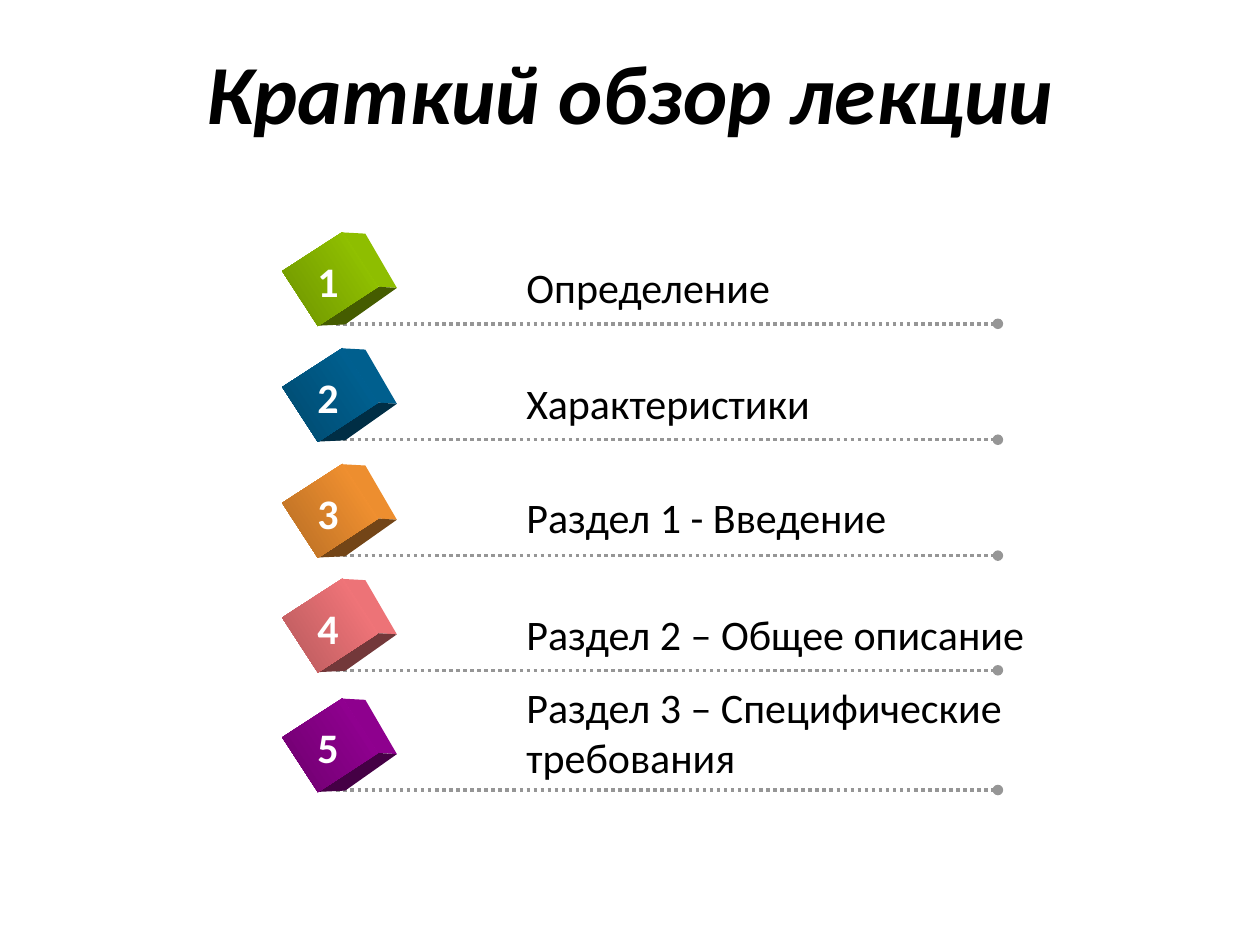
from lxml.etree import SubElement
from pptx import Presentation
from pptx.dml.color import RGBColor
from pptx.enum.dml import MSO_LINE
from pptx.enum.shapes import MSO_CONNECTOR, MSO_SHAPE
from pptx.enum.text import MSO_ANCHOR, PP_ALIGN
from pptx.oxml.ns import qn
from pptx.util import Inches, Pt

ROWS = [
    (1.93, "Определение", 2.17, 0.1, 0.51, "99CC00", "6D9200"),
    (2.85, "Характеристики", 2.48, 0.1, 0.51, "006699", "00496D"),
    (3.77, "Раздел 1 - Введение", 4.18, 0.08, 0.51, "FF9933", "B66D24"),
    (4.68, "Раздел 2 – Общее описание", 4.89, 0.1, 0.51, "FF7C80", "B6595C"),
    (5.63, "Раздел 3 – Специфические требования", 4.46, -0.27, 0.91, "990099", "6D006D"),
]


def rgb(value, factor=1):
    """Return a colour from a hex string, darkened by factor."""
    return RGBColor(*(round(c * factor) for c in RGBColor.from_string(value)))


def add_text(shapes, text, x, y, w, h, size=24, color="000000", bold=False,
             italic=False, align=PP_ALIGN.LEFT, anchor=MSO_ANCHOR.TOP,
             wrap=True, spacing=None):
    """Add a text box with one formatted paragraph."""
    sp = shapes.add_textbox(Inches(x), Inches(y), Inches(w), Inches(h))
    tf = sp.text_frame
    tf.word_wrap = wrap
    tf.vertical_anchor = anchor
    p = tf.paragraphs[0]
    p.alignment = align
    p.line_spacing = spacing
    r = p.add_run()
    r.text = text
    r.font.name = "Calibri"
    r.font.size = Pt(size)
    r.font.bold = bold
    r.font.italic = italic
    r.font.color.rgb = rgb(color)


def add_rule(shapes, x, y, w):
    """Add a dotted rule that ends in a dot."""
    line = shapes.add_connector(MSO_CONNECTOR.STRAIGHT, Inches(x), Inches(y),
                                Inches(x + w), Inches(y))
    line.line.color.rgb = rgb("969696")
    line.line.width = Pt(2)
    line.line.dash_style = MSO_LINE.ROUND_DOT
    SubElement(line.line._get_or_add_ln(), qn("a:tailEnd"), type="oval")
    SubElement(line._element.spPr, qn("a:effectLst"))


def add_face(shapes, cx, cy, points, color):
    """Add a flat side of a cube, with points relative to its centre."""
    points = [(Inches(cx + dx), Inches(cy + dy)) for dx, dy in points]
    builder = shapes.build_freeform(*points[0])
    builder.add_line_segments(points[1:])
    sp = builder.convert_to_shape()
    sp.shadow.inherit = False
    sp.fill.solid()
    sp.fill.fore_color.rgb = color
    sp.line.fill.background()


def add_cube(shapes, x, y, w, h, light, dark):
    """Add a tilted cube with a shaded front and two sides."""
    cx, cy = x + w / 2, y + h / 2
    top, right, bottom = (0.1, -0.37), (0.37, 0.06), (-0.1, 0.37)
    back_top, back_right, back_bottom = (0.28, -0.36), (0.53, 0.07), (0.12, 0.36)
    add_face(shapes, cx, cy, [top, back_top, back_right, right], rgb(light, 0.93))
    add_face(shapes, cx, cy, [right, back_right, back_bottom, bottom], rgb(light, 0.45))
    sp = shapes.add_shape(MSO_SHAPE.RECTANGLE, Inches(x), Inches(y), Inches(w), Inches(h))
    sp.rotation = 57
    sp.shadow.inherit = False
    sp.line.fill.background()
    sp.fill.gradient()
    sp.fill.gradient_angle = 270
    for stop, color, position in zip(sp.fill.gradient_stops, (light, dark), (0, 1)):
        stop.color.rgb = rgb(color)
        stop.position = position


def add_row(s, number, x, y, text, text_w, text_dy, text_h, light, dark):
    """Add one numbered agenda row as a group."""
    shapes = s.shapes.add_group_shape().shapes
    add_rule(shapes, x + 0.31, y + 0.64, 5.25)
    add_cube(shapes, x, y, 0.52, 0.57, light, dark)
    add_text(shapes, text, x + 1.72, y + text_dy, text_w, text_h, wrap=text_w > 4)
    add_text(shapes, str(number), x + 0.06, y + 0.05, 0.39, 0.5,
             color="FFFFFF", bold=True, wrap=False)


def build():
    """Build the lecture overview slide."""
    prs = Presentation()
    prs.slide_width, prs.slide_height = Inches(10), Inches(7.5)
    s = prs.slides.add_slide(prs.slide_layouts[6])
    add_text(s.shapes, "Краткий обзор лекции", 0.69, 0.28, 8.62, 0.98, size=48,
             bold=True, italic=True, align=PP_ALIGN.CENTER,
             anchor=MSO_ANCHOR.MIDDLE, spacing=0.9)
    for number, (y, *row) in enumerate(ROWS, 1):
        add_row(s, number, 2.36, y, *row)
    prs.save("out.pptx")


build()
